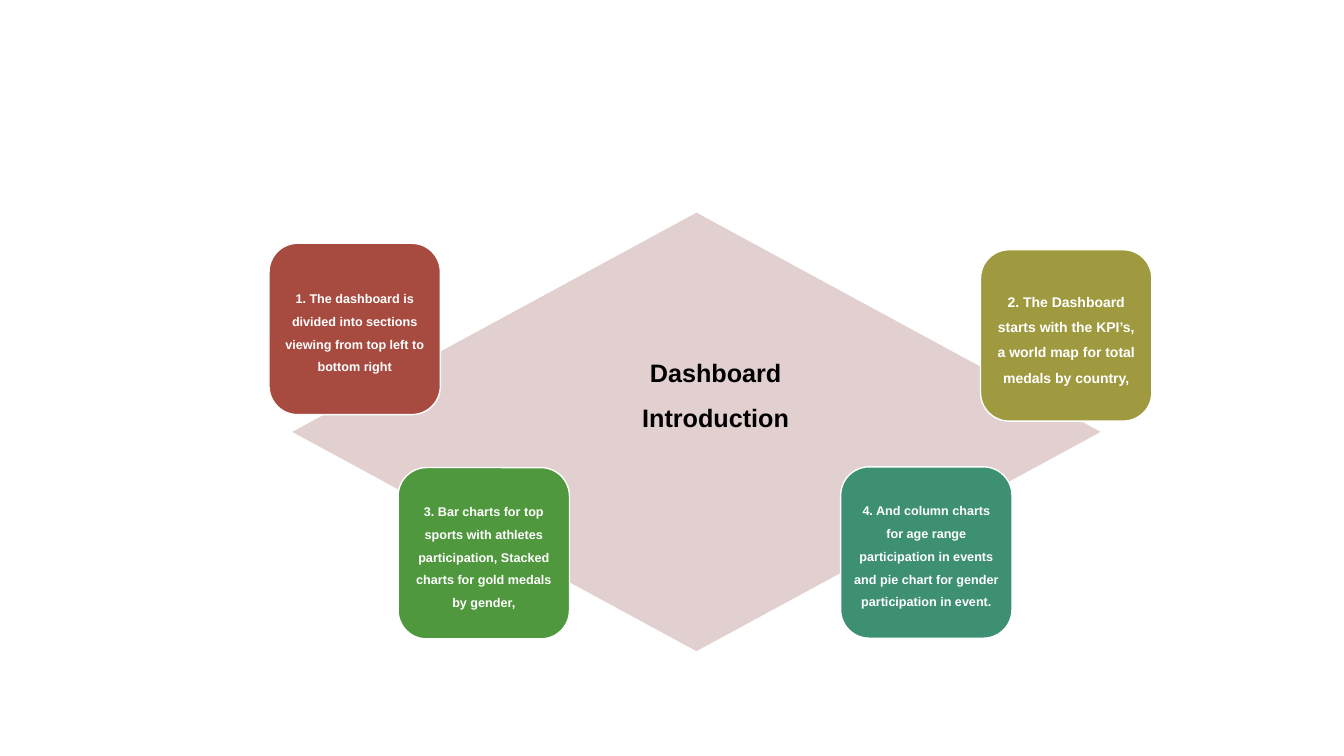
from pptx import Presentation
from pptx.dml.color import RGBColor as Rgb
from pptx.enum.shapes import MSO_SHAPE as Geo
from pptx.enum.text import MSO_ANCHOR as Anchor, MSO_AUTO_SIZE as Fit, PP_ALIGN as Align
from pptx.util import Pt

HUES = {
    "white": "FFFFFF",
    "black": "000000",
    "pink": "E1D0CF",
    "red": "A74B40",
    "olive": "9F9A3F",
    "green": "50983E",
    "teal": "3D9072",
}
SIDE = 122.4
CARDS = [
    (192.2, 173.8, "red", 9,
     "1. The dashboard is divided into sections viewing from top left to bottom right"),
    (700.4, 178.4, "olive", 10,
     "2. The Dashboard starts with the KPI’s, a world map for total medals by country,"),
    (284.4, 334, "green", 9,
     "3. Bar charts for top sports with athletes participation, "
     "Stacked charts for gold medals by gender,"),
    (600.5, 333.5, "teal", 9,
     "4. And column charts for age range participation in events "
     "and pie chart for gender participation in event."),
]


class Deck:
    font = "Arial"

    def __init__(self, wide, high):
        self.prs = Presentation()
        self.prs.slide_width = Pt(wide)
        self.prs.slide_height = Pt(high)
        self.slide = self.prs.slides.add_slide(self.prs.slide_layouts[5])

    def hue(self, name):
        return Rgb.from_string(HUES[name])

    def shape(self, geo, box, fill, line=None):
        item = self.slide.shapes.add_shape(geo, *map(Pt, box))
        item.shadow.inherit = False
        item.fill.solid()
        item.fill.fore_color.rgb = self.hue(fill)
        if line:
            item.line.color.rgb = self.hue(line)
            item.line.width = Pt(1)
        else:
            item.line.fill.background()
        return item

    def label(self, item, text, size, hue, pad, anchor):
        frame = item.text_frame
        frame.word_wrap = True
        frame.vertical_anchor = anchor
        frame.margin_left = frame.margin_right = Pt(pad[0])
        frame.margin_top = frame.margin_bottom = Pt(pad[1])
        para = frame.paragraphs[0]
        para.alignment = Align.CENTER
        para.line_spacing = 1.5
        run = para.add_run()
        run.text = text
        run.font.name = self.font
        run.font.size = Pt(size)
        run.font.bold = True
        run.font.color.rgb = self.hue(hue)

    def card(self, left, top, fill, size, text):
        item = self.shape(Geo.ROUNDED_RECTANGLE, (left, top, SIDE, SIDE), fill, "white")
        self.label(item, text, size, "white", (3, 3), Anchor.MIDDLE)

    def title(self, box, text, size):
        item = self.slide.shapes.title
        item.left, item.top, item.width, item.height = map(Pt, box)
        self.label(item, text, size, "black", (7.2, 3.6), Anchor.TOP)
        item.text_frame.auto_size = Fit.SHAPE_TO_FIT_TEXT
        tree = item.element.getparent()
        tree.append(item.element)

    def save(self):
        self.prs.save("out.pptx")


def main():
    deck = Deck(960, 540)
    deck.shape(Geo.DIAMOND, (208.8, 151.9, 577.4, 313.2), "pink")
    for card in CARDS:
        deck.card(*card)
    deck.title((426.2, 240.5, 170, 69), "Dashboard Introduction", 18)
    deck.save()


if __name__ == "__main__":
    main()
